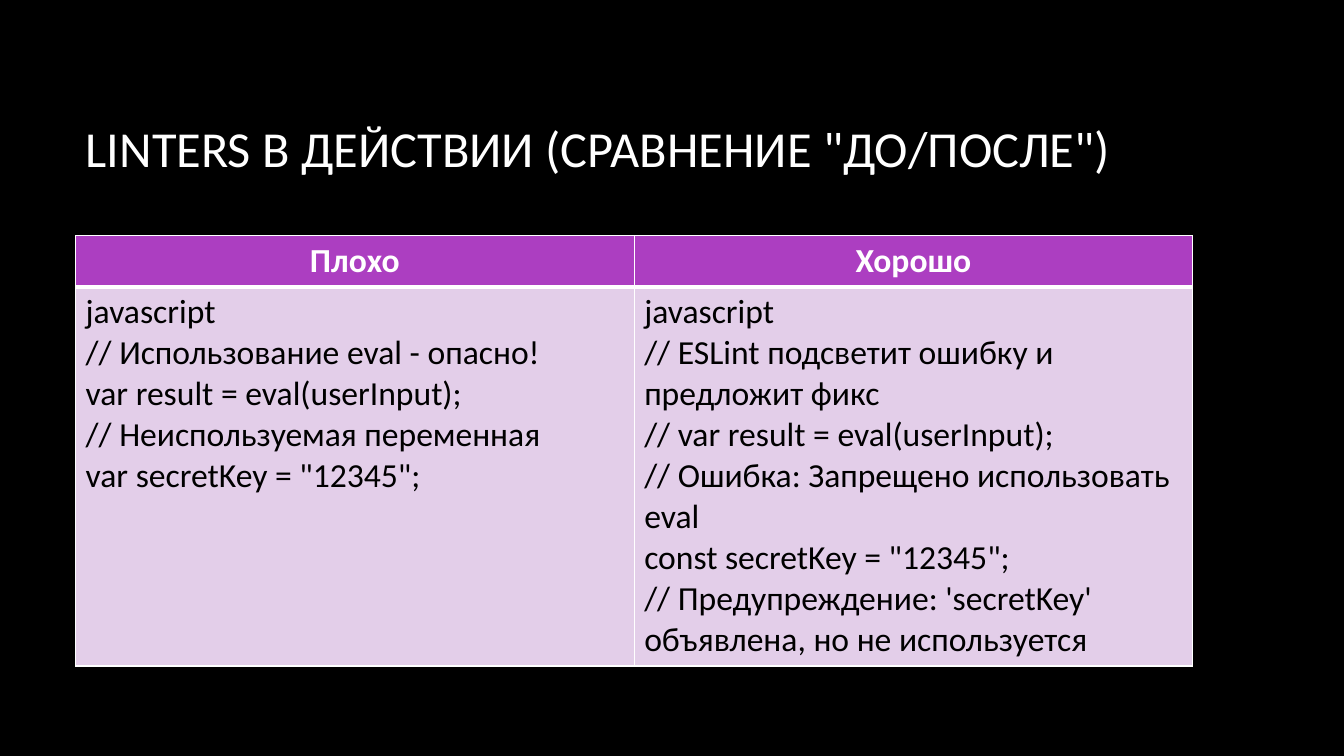
from dataclasses import dataclass

import lxml.etree
import pptx
import pptx.dml.color
import pptx.enum.text
import pptx.oxml.ns
import pptx.slide
import pptx.table
import pptx.util

Inches = pptx.util.Inches
Pt = pptx.util.Pt
RGBColor = pptx.dml.color.RGBColor
Align = pptx.enum.text.PP_ALIGN

BLACK = RGBColor(0x00, 0x00, 0x00)
WHITE = RGBColor(0xFF, 0xFF, 0xFF)
PURPLE = RGBColor(0xAC, 0x3E, 0xC1)
LILAC = RGBColor(0xE3, 0xCE, 0xE9)
FONT = "Calibri"
LEFT, WIDTH = 0.75, 11.08
TITLE = 'LINTERS В ДЕЙСТВИИ (СРАВНЕНИЕ "ДО/ПОСЛЕ")'


@dataclass
class RowStyle:
    height: float
    fill: RGBColor
    color: RGBColor
    bold: bool
    align: Align
    top_line: float
    bottom_line: float


@dataclass
class Column:
    heading: str
    code: str


HEADER = RowStyle(0.5, PURPLE, WHITE, True, Align.CENTER, 1, 3)
BODY = RowStyle(3.76, LILAC, BLACK, False, Align.LEFT, 3, 1)

COLUMNS = [
    Column("Плохо", """javascript
// Использование eval - опасно!
var result = eval(userInput);
// Неиспользуемая переменная
var secretKey = "12345";"""),
    Column("Хорошо", """javascript
// ESLint подсветит ошибку и предложит фикс
// var result = eval(userInput);
// Ошибка: Запрещено использовать eval
const secretKey = "12345";
// Предупреждение: 'secretKey' объявлена, но не используется"""),
]


def add_title(page: pptx.slide.Slide) -> None:
    title = page.shapes.title
    title.left, title.top = Inches(LEFT), Inches(0.67)
    title.width, title.height = Inches(WIDTH), Inches(1.59)
    frame = title.text_frame
    frame.text = TITLE
    frame.word_wrap = True
    frame.auto_size = pptx.enum.text.MSO_AUTO_SIZE.NONE
    frame.vertical_anchor = pptx.enum.text.MSO_ANCHOR.MIDDLE
    para = frame.paragraphs[0]
    para.alignment = Align.LEFT
    para.font.name, para.font.size = FONT, Pt(36)
    para.font.color.rgb = WHITE


def add_borders(cell: pptx.table._Cell, style: RowStyle) -> None:
    properties = cell._tc.get_or_add_tcPr()
    qn = pptx.oxml.ns.qn
    widths = {"L": 1, "R": 1, "T": style.top_line, "B": style.bottom_line}
    for side, width in widths.items():
        line = lxml.etree.SubElement(properties, qn(f"a:ln{side}"), w=str(Pt(width)))
        fill = lxml.etree.SubElement(line, qn("a:solidFill"))
        lxml.etree.SubElement(fill, qn("a:srgbClr"), val=str(WHITE))


def fill_cell(cell: pptx.table._Cell, text: str, style: RowStyle) -> None:
    add_borders(cell, style)
    cell.fill.solid()
    cell.fill.fore_color.rgb = style.fill
    cell.text = text
    for para in cell.text_frame.paragraphs:
        para.alignment = style.align
        para.font.name, para.font.size = FONT, Pt(24)
        para.font.bold = style.bold
        para.font.color.rgb = style.color


def add_comparison(page: pptx.slide.Slide) -> None:
    styles = [HEADER, BODY]
    height = sum(style.height for style in styles)
    table = page.shapes.add_table(
        len(styles), len(COLUMNS),
        Inches(LEFT), Inches(2.34), Inches(WIDTH), Inches(height),
    ).table
    for row, style in zip(table.rows, styles):
        row.height = Inches(style.height)
    for index, column in enumerate(COLUMNS):
        fill_cell(table.cell(0, index), column.heading, HEADER)
        fill_cell(table.cell(1, index), column.code, BODY)


def main() -> None:
    deck = pptx.Presentation()
    deck.slide_width, deck.slide_height = Inches(13.33), Inches(7.5)
    page = deck.slides.add_slide(deck.slide_layouts[5])
    page.background.fill.solid()
    page.background.fill.fore_color.rgb = BLACK
    add_title(page)
    add_comparison(page)
    deck.save("out.pptx")


if __name__ == "__main__":
    main()
